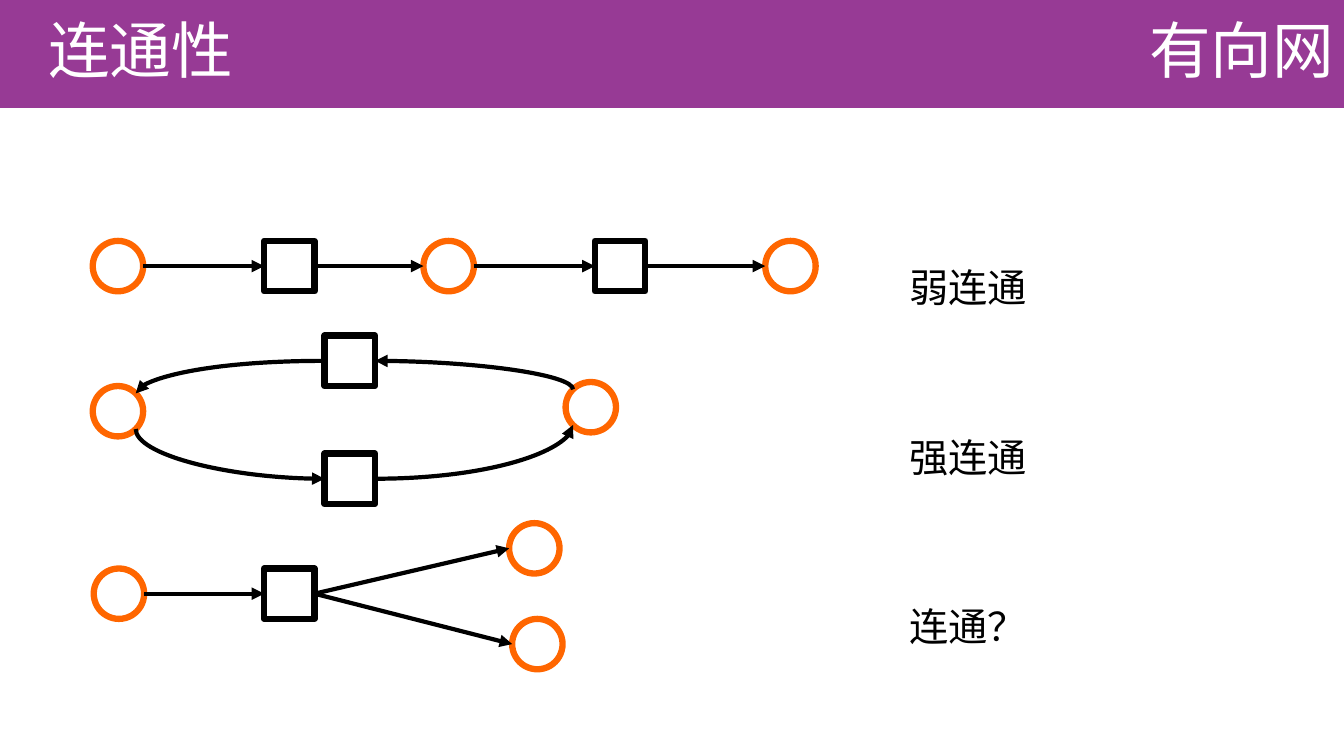
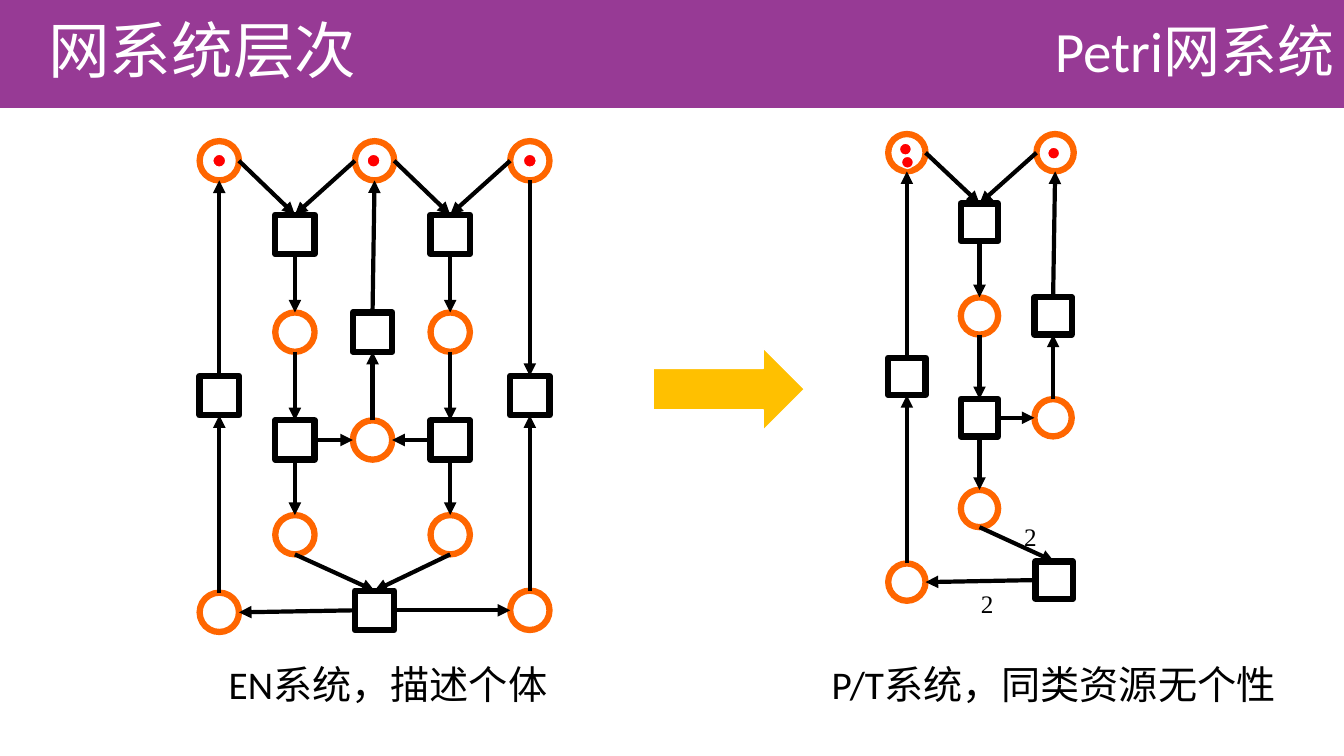
from lxml import etree
from pptx import Presentation
from pptx.dml.color import RGBColor
from pptx.enum import shapes as kinds, text as texts
from pptx.oxml.ns import qn
from pptx.util import Inches, Pt

PURPLE, ORANGE, BLACK, WHITE, RED, GOLD = (
    "973A95", "FF6600", "000000", "FFFFFF", "FF0000", "FFC000")
CJK, LATIN, SERIF = "Noto Sans CJK SC", "Calibri", "Times New Roman"
SLIDE_W, SLIDE_H, BAND_H = 13.33, 7.5, 1.07

# Node positions are left, top. An arc reads: from, side, to, side.
CONNECTIVITY = {
    "size": 0.5,
    "places": {
        "a1": (0.92, 2.39), "a2": (4.2, 2.39), "a3": (7.59, 2.39),
        "b1": (0.92, 3.83), "b2": (5.61, 3.79),
        "c1": (0.93, 5.64), "c2": (5.05, 5.19), "c3": (5.08, 6.14),
    },
    "transitions": {
        "at1": (2.62, 2.39), "at2": (5.9, 2.39),
        "upper": (3.22, 3.33), "lower": (3.22, 4.5),
        "ct": (2.62, 5.64),
    },
    "arcs": [
        "a1 R at1 L", "at1 R a2 L", "a2 R at2 L", "at2 R a3 L",
        "c1 R ct L", "ct R c2 L", "ct R c3 L",
    ],
    # Bends leave the transition sideways; the last word tells which end has the arrow.
    "bends": [
        "upper L b1 TR tailEnd", "upper R b2 TL headEnd",
        "lower L b1 BR headEnd", "lower R b2 BL tailEnd",
    ],
}
CONNECTIVITY_LABELS = ["弱连通", "强连通", "连通？"]

EN_SYSTEM = {
    "size": 0.39,
    "places": {
        "idle1": (1.98, 1.4), "free": (3.52, 1.4), "idle2": (5.06, 1.4),
        "busy1": (2.73, 3.1), "busy2": (4.27, 3.1), "released": (3.5, 4.17),
        "done1": (2.73, 5.11), "done2": (4.27, 5.11),
        "back1": (1.98, 5.88), "back2": (5.06, 5.86),
    },
    "transitions": {
        "start1": (2.73, 2.13), "start2": (4.27, 2.13), "renew": (3.5, 3.1),
        "reset1": (1.98, 3.73), "reset2": (5.06, 3.73),
        "end1": (2.73, 4.17), "end2": (4.27, 4.17), "join": (3.52, 5.86),
    },
    "arcs": [
        "back1 T reset1 B", "reset1 T idle1 B", "idle1 R start1 T", "free L start1 T",
        "start1 B busy1 T", "busy1 B end1 T", "end1 B done1 T", "free R start2 T",
        "idle2 L start2 T", "idle2 B reset2 T", "back2 T reset2 B", "join R back2 L",
        "join L back1 R", "end2 B done2 T", "done1 B join T", "done2 B join T",
        "end1 R released L", "end2 L released R", "released T renew B",
        "renew T free B", "start2 B busy2 T", "busy2 B end2 T",
    ],
    "token_size": 0.13,
    "tokens": [(2.11, 1.53), (3.64, 1.53), (5.19, 1.53)],
}
PT_SYSTEM = {
    "size": 0.37,
    "places": {
        "idle": (8.81, 1.33), "free": (10.28, 1.33), "busy": (9.53, 2.95),
        "released": (10.26, 3.96), "done": (9.53, 4.86), "back": (8.81, 5.59),
    },
    "transitions": {
        "start": (9.53, 2.02), "renew": (10.26, 2.95), "reset": (8.81, 3.55),
        "end": (9.53, 3.96), "join": (10.27, 5.57),
    },
    "arcs": [
        "back T reset B", "reset T idle B", "idle R start T", "free L start T",
        "start B busy T", "busy B end T", "end B done T", "join L back R",
        "done B join T", "end R released L", "released T renew B", "renew T free B",
    ],
    "token_size": 0.12,
    "tokens": [(8.94, 1.55), (8.92, 1.42), (10.39, 1.46)],
    "weights": [("2", 10.06, 5.12), ("2", 9.63, 5.79)],
}
CAPTIONS = [("EN系统，描述个体", 2.17, 3.55), ("P/T系统，同类资源无个性", 8.15, 4.99)]

# Order of connection sites on each preset shape
PLACE_SITES = ["T", "TL", "L", "BL", "B", "BR", "R", "TR"]
TRANSITION_SITES = ["T", "L", "B", "R"]


def color(value):
    return RGBColor.from_string(value)


def add_text(shapes, words, left, top, width, height, size=28, font=LATIN, ink=BLACK,
             align=texts.PP_ALIGN.LEFT, anchor=texts.MSO_ANCHOR.TOP, inset=0.1, spacing=1.0):
    box = shapes.add_textbox(Inches(left), Inches(top), Inches(width), Inches(height))
    frame = box.text_frame
    frame.word_wrap = True
    frame.vertical_anchor = anchor
    frame.margin_left = Inches(inset)
    para = frame.paragraphs[0]
    para.text = words
    para.alignment = align
    para.line_spacing = spacing
    para.font.name = font
    para.font.size = Pt(size)
    para.font.color.rgb = color(ink)
    defaults = para._p.pPr.find(qn("a:defRPr"))
    etree.SubElement(defaults, qn("a:ea"), typeface=CJK)


def add_box(shapes, preset, left, top, width, height, fill, line=None, weight=1):
    box = shapes.add_shape(preset, Inches(left), Inches(top), Inches(width), Inches(height))
    box.shadow.inherit = False
    box.fill.solid()
    box.fill.fore_color.rgb = color(fill)
    if line:
        box.line.color.rgb = color(line)
        box.line.width = Pt(weight)
    else:
        box.line.fill.background()
    return box


def add_header(slide, title, topic, title_font=LATIN, topic_font=LATIN, topic_size=44):
    add_box(slide.shapes, kinds.MSO_SHAPE.RECTANGLE, 0, 0, SLIDE_W, BAND_H, PURPLE)
    shared = dict(ink=WHITE, anchor=texts.MSO_ANCHOR.MIDDLE, spacing=0.9)
    add_text(slide.shapes, title, 0, 0, 9.87, BAND_H, 44, title_font, inset=0.48, **shared)
    add_text(slide.shapes, topic, 10, 0, 3.33, BAND_H, topic_size, topic_font,
             align=texts.PP_ALIGN.RIGHT, **shared)


def site_point(node, side):
    """Point where a connection site lies on the outline of a node."""
    reach = 0.5 if len(side) == 1 else 0.5 ** 1.5
    across = ("R" in side) - ("L" in side)
    down = ("B" in side) - ("T" in side)
    return (round(node.left + node.width * (0.5 + reach * across)),
            round(node.top + node.height * (0.5 + reach * down)))


def add_arc(shapes, nodes, start, start_side, end, end_side, arrow="tailEnd", curved=False):
    form = kinds.MSO_CONNECTOR.CURVE if curved else kinds.MSO_CONNECTOR.STRAIGHT
    ends = [(*nodes[start], start_side), (*nodes[end], end_side)]
    points = [site_point(node, side) for node, _, side in ends]
    arc = shapes.add_connector(form, *points[0], *points[1])
    arc.line.color.rgb = color(BLACK)
    arc.line.width = Pt(3)
    properties = arc._element.spPr
    etree.SubElement(properties.find(qn("a:ln")), qn("a:" + arrow), type="triangle")
    etree.SubElement(properties, qn("a:effectLst"))
    if curved:
        properties.find(qn("a:prstGeom")).set("prst", "curvedConnector2")
    glue = arc._element.find(".//" + qn("p:cNvCxnSpPr"))
    for tag, (node, sites, side) in zip(("a:stCxn", "a:endCxn"), ends):
        etree.SubElement(glue, qn(tag), id=str(node.shape_id), idx=str(sites.index(side)))


def add_net(shapes, net):
    nodes = {}
    size = net["size"]
    for group, preset, line, sites in (
            ("places", kinds.MSO_SHAPE.OVAL, ORANGE, PLACE_SITES),
            ("transitions", kinds.MSO_SHAPE.RECTANGLE, BLACK, TRANSITION_SITES)):
        for name, (left, top) in net[group].items():
            node = add_box(shapes, preset, left, top, size, size, WHITE, line, 4.5)
            nodes[name] = node, sites
    for arc in net["arcs"]:
        add_arc(shapes, nodes, *arc.split())
    for bend in net.get("bends", []):
        add_arc(shapes, nodes, *bend.split(), curved=True)
    for left, top in net.get("tokens", []):
        add_box(shapes, kinds.MSO_SHAPE.OVAL, left, top,
                net["token_size"], net["token_size"], RED, WHITE)
    for weight, left, top in net.get("weights", []):
        add_text(shapes, weight, left, top, 0.37, 0.3, 18, SERIF)


def add_connectivity_slide(deck):
    slide = deck.slides.add_slide(deck.slide_layouts[6])
    add_header(slide, "连通性", "有向网", CJK, CJK)
    add_net(slide.shapes, CONNECTIVITY)
    for row, label in enumerate(CONNECTIVITY_LABELS):
        add_text(slide.shapes, label, 8.92, 2.5 + 1.68 * row, 3.5, 0.7,
                 anchor=texts.MSO_ANCHOR.MIDDLE)


def add_hierarchy_slide(deck):
    slide = deck.slides.add_slide(deck.slide_layouts[6])
    add_header(slide, "网系统层次", "Petri网系统", topic_size=40.7)
    for net in (EN_SYSTEM, PT_SYSTEM):
        add_net(slide.shapes.add_group_shape().shapes, net)
    add_box(slide.shapes, kinds.MSO_SHAPE.RIGHT_ARROW, 6.48, 3.45, 1.5, 0.82, GOLD, WHITE)
    for caption, left, width in CAPTIONS:
        add_text(slide.shapes, caption, left, 6.5, width, 0.6)


def main():
    deck = Presentation()
    deck.slide_width, deck.slide_height = Inches(SLIDE_W), Inches(SLIDE_H)
    add_connectivity_slide(deck)
    add_hierarchy_slide(deck)
    deck.save("out.pptx")


if __name__ == "__main__":
    main()
